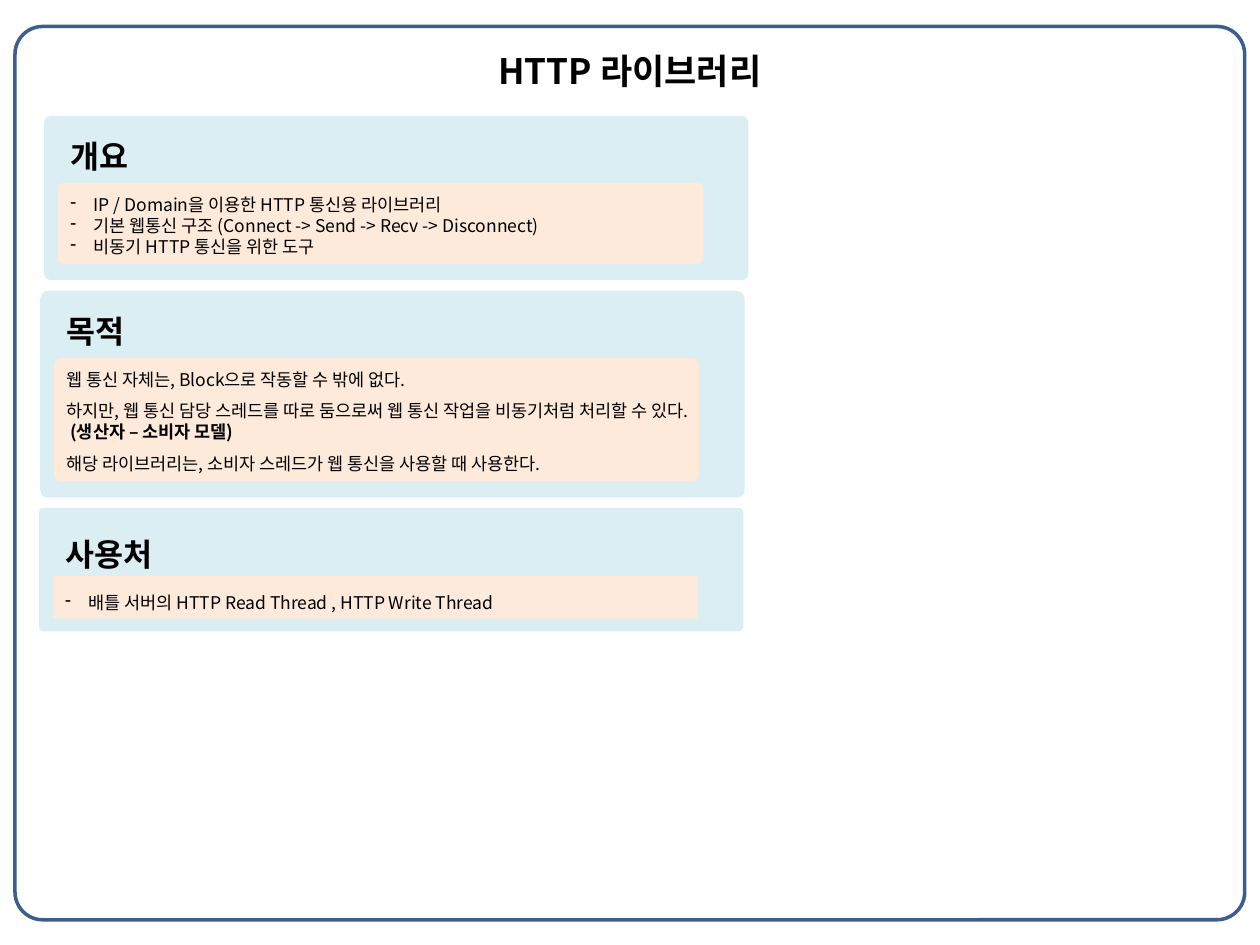
from dataclasses import dataclass

from lxml.etree import SubElement
from pptx import Presentation
from pptx.dml.color import RGBColor
from pptx.enum.shapes import MSO_SHAPE
from pptx.enum.text import PP_ALIGN
from pptx.oxml.ns import qn
from pptx.util import Pt

COLORS = {"panel": "DBEEF4", "content": "FDEADA", "frame": "3A5F8C", "text": "000000"}
FONT = "Noto Sans CJK KR"


def write(paragraph, text, size=10, bold=False, spacing=12, before=0, align=None, bullet=None):
    paragraph.line_spacing = Pt(spacing)
    paragraph.space_before = Pt(before)
    paragraph.alignment = align
    run = paragraph.add_run()
    run.text = text
    run.font.size = Pt(size)
    run.font.bold = bold
    run.font.name = FONT
    run.font.color.rgb = RGBColor.from_string(COLORS["text"])
    SubElement(run.font._element, qn("a:ea")).set("typeface", FONT)
    if bullet:
        properties = paragraph._p.get_or_add_pPr()
        properties.set("marL", str(Pt(13.5)))
        properties.set("indent", str(-Pt(13.5)))
        SubElement(properties, qn("a:buChar")).set("char", bullet)


@dataclass
class LibrarySlide:
    slide: object
    panel_width: float = 402.5
    content_width: float = 368.6
    content_left: float = 7.9

    def rounded(self, left, top, width, height, radius, fill=None, line=None):
        box = self.slide.shapes.add_shape(
            MSO_SHAPE.ROUNDED_RECTANGLE, Pt(left), Pt(top), Pt(width), Pt(height))
        box.shadow.inherit = False
        box.adjustments[0] = radius
        if fill:
            box.fill.solid()
            box.fill.fore_color.rgb = RGBColor.from_string(COLORS[fill])
        else:
            box.fill.background()
        if line:
            box.line.color.rgb = RGBColor.from_string(COLORS[line])
            box.line.width = Pt(2)
        else:
            box.line.fill.background()

    def text_frame(self, left, top, width, height, wrap=True):
        frame = self.slide.shapes.add_textbox(Pt(left), Pt(top), Pt(width), Pt(height)).text_frame
        frame.word_wrap = wrap
        return frame

    def title(self, text):
        frame = self.text_frame(272.9, 23, 174.2, 31.7, wrap=False)
        write(frame.paragraphs[0], text, size=20, bold=True, spacing=25.5, align=PP_ALIGN.CENTER)

    def section(self, heading, lines, left, top, height, content_top, content_height,
                text_top, text_width, text_height, bullet=None, gap=0):
        content_x = left + self.content_left
        self.rounded(left, top, self.panel_width, height, 0.037, fill="panel")
        self.rounded(content_x, top + content_top, self.content_width, content_height,
                     0.061, fill="content")
        frame = self.text_frame(content_x, top + text_top, text_width, text_height)
        write(frame.paragraphs[0], heading, size=18, bold=True, spacing=23)
        for index, runs in enumerate(lines):
            paragraph = frame.add_paragraph()
            for text, bold in runs:
                write(paragraph, text, bold=bold, before=gap if index else 10.6)
            if bullet:
                properties = paragraph._p.get_or_add_pPr()
                properties.set("marL", str(Pt(13.5)))
                properties.set("indent", str(-Pt(13.5)))
                SubElement(properties, qn("a:buChar")).set("char", bullet)


def main():
    presentation = Presentation()
    presentation.slide_width, presentation.slide_height = Pt(720), Pt(540)
    page = LibrarySlide(presentation.slides.add_slide(presentation.slide_layouts[6]))

    page.title("HTTP 라이브러리")
    page.section(
        "개요",
        [[("IP / Domain을 이용한 HTTP 통신용 라이브러리", False)],
         [("기본 웹통신 구조 (Connect -> Send -> Recv -> Disconnect)", False)],
         [("비동기 HTTP 통신을 위한 도구", False)]],
        left=25.2, top=66.4, height=93.6, content_top=38.2, content_height=46.1,
        text_top=7.2, text_width=355, text_height=90, bullet="-")
    page.rounded(8.6, 15.1, 702.7, 510.5, 0.031, line="frame")
    page.section(
        "목적",
        [[("웹 통신 자체는, Block으로 작동할 수 밖에 없다.", False)],
         [("하지만, 웹 통신 담당 스레드를 따로 둠으로써 웹 통신 작업을 비동기처럼 처리할 수 있다. ", False),
          ("(생산자 – 소비자 모델)", True)],
         [("해당 라이브러리는, 소비자 스레드가 웹 통신을 사용할 때 사용한다.", False)]],
        left=23, top=166.3, height=118.1, content_top=38.2, content_height=70.6,
        text_top=7.2, text_width=367.9, text_height=101.5, gap=6)
    page.section(
        "사용처",
        [[("배틀 서버의 HTTP Read Thread , HTTP Write Thread", False)]],
        left=22.3, top=290.2, height=70.6, content_top=38.9, content_height=24.5,
        text_top=10.8, text_width=360.7, text_height=53.3, bullet="-")

    presentation.save("out.pptx")


if __name__ == "__main__":
    main()
